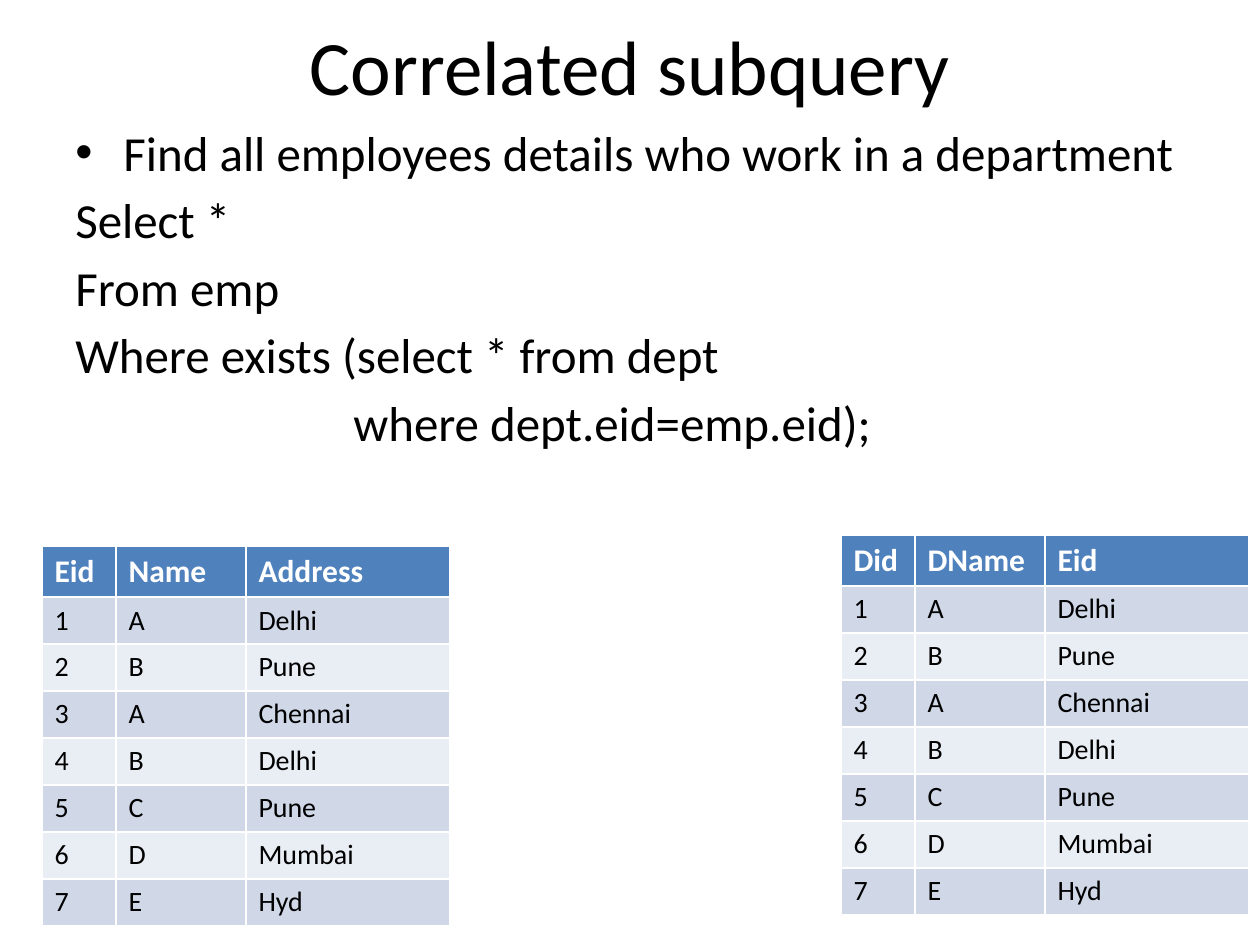
from dataclasses import dataclass

from lxml.etree import SubElement
from pptx import Presentation
from pptx.dml.color import RGBColor
from pptx.enum.text import MSO_ANCHOR, PP_ALIGN
from pptx.oxml.ns import qn
from pptx.util import Emu, Pt

PX_PER_INCH = 126
COLORS = {"text": "000000", "header_text": "FFFFFF", "header": "4F81BD",
          "odd_row": "D0D8E8", "even_row": "E9EDF4"}
FONT = "Calibri"
COLUMN_WIDTHS = (74, 130, 204)
HEADER_HEIGHT, ROW_HEIGHT = 51, 47
BULLET_INDENT = 48
SUBQUERY_INDENT = 278


@dataclass(frozen=True)
class QueryLine:
    text: str
    indent: int = 0
    bullet: str = ""


@dataclass(frozen=True)
class Relation:
    left: int
    top: int
    header: tuple[str, ...]


QUERY = (
    QueryLine("Find all employees details who work in a department", BULLET_INDENT, "•"),
    QueryLine("Select *"),
    QueryLine("From emp"),
    QueryLine("Where exists (select * from dept"),
    QueryLine("where dept.eid=emp.eid);", SUBQUERY_INDENT),
)
RELATIONS = (
    Relation(42, 546, ("Eid", "Name", "Address")),
    Relation(841, 535, ("Did", "DName", "Eid")),
)
RECORDS = (
    ("1", "A", "Delhi"), ("2", "B", "Pune"), ("3", "A", "Chennai"),
    ("4", "B", "Delhi"), ("5", "C", "Pune"), ("6", "D", "Mumbai"),
    ("7", "E", "Hyd"),
)


def px(length: int) -> Emu:
    return Emu(round(length * 914400 / PX_PER_INCH))


def write(paragraph, text: str, *, size: int, color: str = "text",
          bold: bool = False, align=PP_ALIGN.LEFT, before: float = 0) -> None:
    paragraph.alignment = align
    paragraph.space_before = Pt(before)
    run = paragraph.add_run()
    run.text = text
    run.font.name = FONT
    run.font.size = Pt(size)
    run.font.bold = bold
    run.font.color.rgb = RGBColor.from_string(COLORS[color])


def indent_line(paragraph, line: QueryLine) -> None:
    properties = paragraph._p.get_or_add_pPr()
    properties.set("marL", str(px(line.indent)))
    if line.bullet:
        properties.set("indent", str(-px(line.indent)))
        SubElement(properties, qn("a:buFont"), typeface="Arial")
        SubElement(properties, qn("a:buChar"), char=line.bullet)


def add_title(slide, text: str) -> None:
    title = slide.shapes.title
    title.left, title.top, title.width, title.height = px(63), px(10), px(1134), px(110)
    title.text_frame.vertical_anchor = MSO_ANCHOR.MIDDLE
    write(title.text_frame.paragraphs[0], text, size=44, align=PP_ALIGN.CENTER)


def add_query(slide, lines: tuple[QueryLine, ...]) -> None:
    frame = slide.shapes.add_textbox(px(63), px(116), px(1134), px(687)).text_frame
    frame.word_wrap = True
    for number, line in enumerate(lines):
        paragraph = frame.add_paragraph() if number else frame.paragraphs[0]
        write(paragraph, line.text, size=28, before=5)
        indent_line(paragraph, line)


def add_relation(slide, relation: Relation) -> None:
    rows = (relation.header, *RECORDS)
    height = HEADER_HEIGHT + ROW_HEIGHT * len(RECORDS)
    table = slide.shapes.add_table(len(rows), len(COLUMN_WIDTHS), px(relation.left),
                                   px(relation.top), px(sum(COLUMN_WIDTHS)),
                                   px(height)).table
    for column, width in zip(table.columns, COLUMN_WIDTHS):
        column.width = px(width)
    for row, values in enumerate(rows):
        is_header = row == 0
        table.rows[row].height = px(HEADER_HEIGHT if is_header else ROW_HEIGHT)
        fill = "header" if is_header else "odd_row" if row % 2 else "even_row"
        for column, value in enumerate(values):
            cell = table.cell(row, column)
            cell.fill.solid()
            cell.fill.fore_color.rgb = RGBColor.from_string(COLORS[fill])
            write(cell.text_frame.paragraphs[0], value, bold=is_header,
                  size=18 if is_header else 16,
                  color="header_text" if is_header else "text")


def main() -> None:
    presentation = Presentation()
    presentation.slide_width, presentation.slide_height = px(1260), px(945)
    slide = presentation.slides.add_slide(presentation.slide_layouts[5])
    add_title(slide, "Correlated subquery")
    add_query(slide, QUERY)
    for relation in RELATIONS:
        add_relation(slide, relation)
    presentation.save("out.pptx")


if __name__ == "__main__":
    main()
